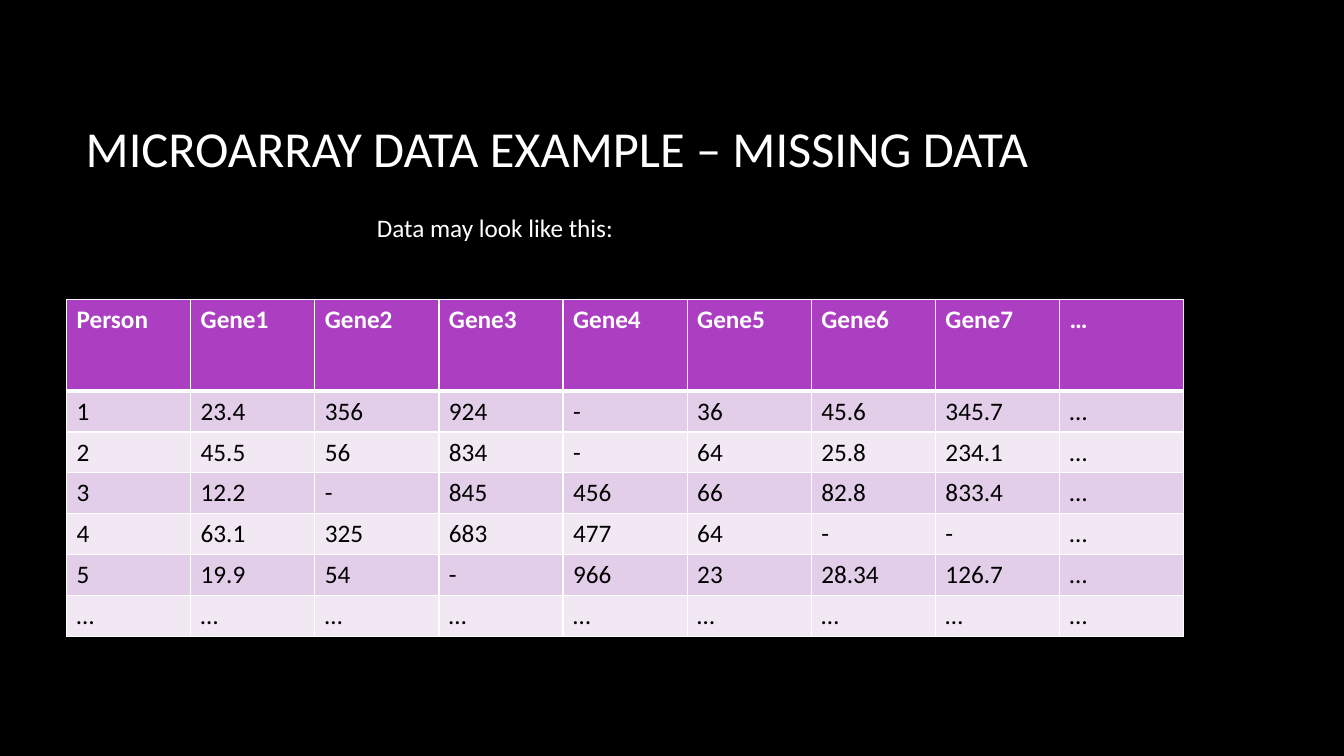
from dataclasses import dataclass

from lxml.etree import SubElement
from pptx import Presentation
from pptx.dml.color import RGBColor as Color
from pptx.enum.text import MSO_ANCHOR as Anchor, PP_ALIGN as Align
from pptx.oxml.ns import qn
from pptx.util import Inches, Pt


@dataclass(frozen=True)
class Theme:
    """Colours, font and type sizes of the slide."""
    font: str = "Calibri"
    back: str = "000000"
    light: str = "FFFFFF"
    dark: str = "000000"
    head: str = "AC3EC1"
    bands: tuple = ("E3CEE9", "F1E8F4")
    title: int = 36
    body: int = 18
    thin: int = 1
    thick: int = 3


THEME = Theme()

GENES = [
    ["Person", *(f"Gene{n}" for n in range(1, 8)), "…"],
    ["1", "23.4", "356", "924", "-", "36", "45.6", "345.7", "…"],
    ["2", "45.5", "56", "834", "-", "64", "25.8", "234.1", "…"],
    ["3", "12.2", "-", "845", "456", "66", "82.8", "833.4", "…"],
    ["4", "63.1", "325", "683", "477", "64", "-", "-", "…"],
    ["5", "19.9", "54", "-", "966", "23", "28.34", "126.7", "…"],
    ["…"] * 9,
]


def style(frame, size, color, bold=False):
    """Format every run in a text frame."""
    for para in frame.paragraphs:
        for run in para.runs:
            font = run.font
            font.name, font.size, font.bold = THEME.font, Pt(size), bold
            font.color.rgb = Color.from_string(color)


def add_title(slide, text, box):
    """Fill the title placeholder and move it to the box."""
    title = slide.shapes.title
    title.left, title.top, title.width, title.height = map(Inches, box)
    frame = title.text_frame
    frame.text = text
    frame.vertical_anchor = Anchor.MIDDLE
    frame.paragraphs[0].alignment = Align.LEFT
    style(frame, THEME.title, THEME.light)


def add_lead(slide, text, box):
    """Add the line that leads into the table."""
    frame = slide.shapes.add_textbox(*map(Inches, box)).text_frame
    frame.text = text
    frame.word_wrap = False
    style(frame, THEME.body, THEME.light)


def add_edges(cell, widths):
    """Draw the cell borders, widths keyed by side."""
    props = cell._tc.get_or_add_tcPr()
    for side, width in widths.items():
        line = SubElement(props, qn(f"a:ln{side}"), w=str(Pt(width)))
        fill = SubElement(line, qn("a:solidFill"))
        SubElement(fill, qn("a:srgbClr"), val=THEME.light)


def add_grid(slide, rows, box, top_row):
    """Add the gene table with a tall head row and banded rows below."""
    height = box[3]
    table = slide.shapes.add_table(len(rows), len(rows[0]), *map(Inches, box)).table
    step = (height - top_row) / (len(rows) - 1)
    for r, row in enumerate(rows):
        head = r == 0
        table.rows[r].height = Inches(top_row if head else step)
        shade = THEME.head if head else THEME.bands[(r - 1) % 2]
        edges = dict.fromkeys("LRTB", THEME.thin)
        if r < 2:
            edges["B" if head else "T"] = THEME.thick
        for c, text in enumerate(row):
            cell = table.cell(r, c)
            cell.text_frame.text = text
            style(cell.text_frame, THEME.body, THEME.light if head else THEME.dark, head)
            add_edges(cell, edges)
            cell.fill.solid()
            cell.fill.fore_color.rgb = Color.from_string(shade)


def main():
    """Build the slide and save it."""
    deck = Presentation()
    deck.slide_width, deck.slide_height = Inches(13.33), Inches(7.5)
    slide = deck.slides.add_slide(deck.slide_layouts[5])
    slide.background.fill.solid()
    slide.background.fill.fore_color.rgb = Color.from_string(THEME.back)
    add_title(slide, "MICROARRAY DATA EXAMPLE – MISSING DATA", (0.75, 0.67, 11.08, 1.59))
    add_grid(slide, GENES, (0.66, 2.97, 11.08, 3.34), 0.91)
    add_lead(slide, "Data may look like this:", (3.64, 2.06, 2.57, 0.4))
    deck.save("out.pptx")


if __name__ == "__main__":
    main()
